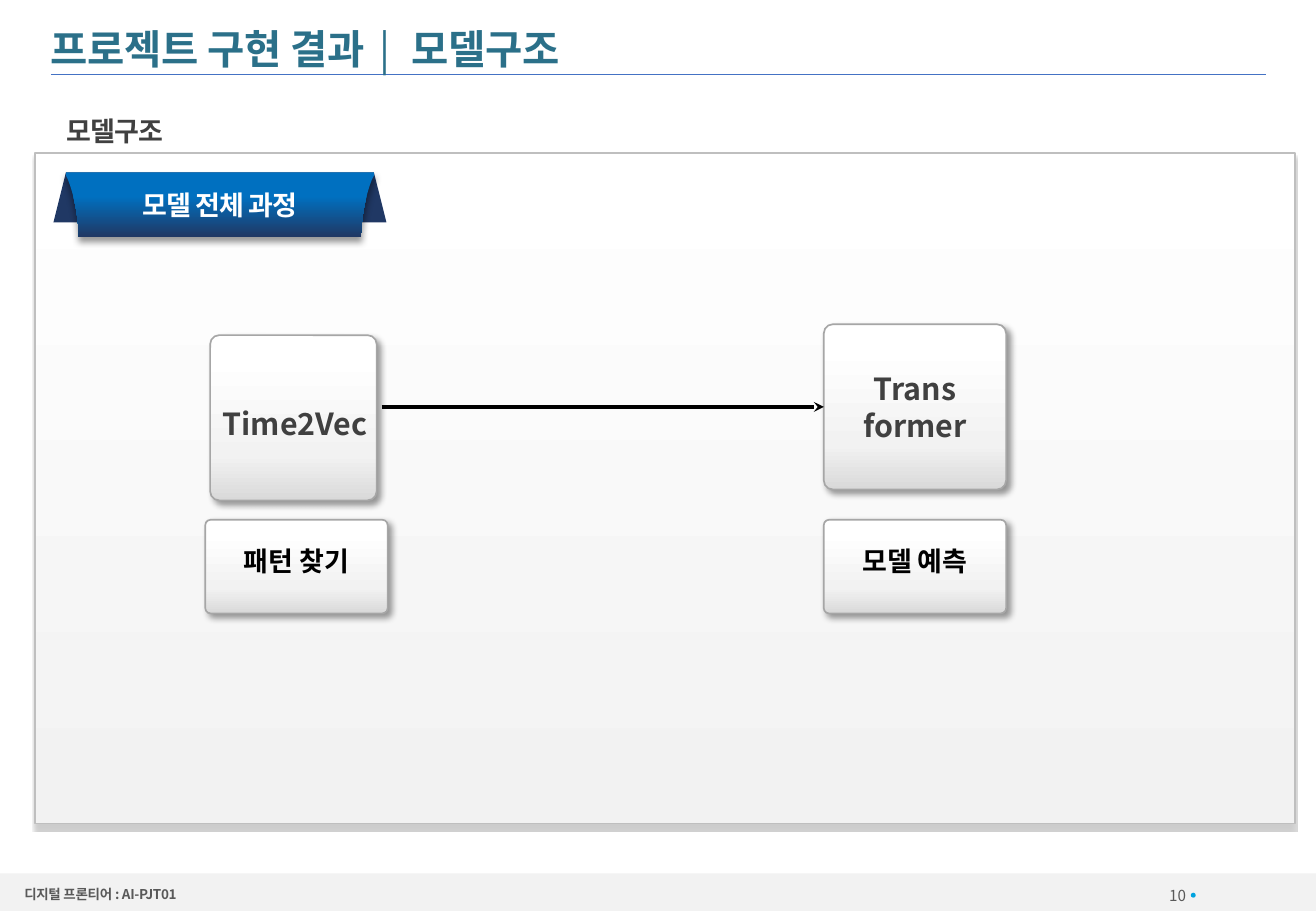
from dataclasses import dataclass

from lxml.etree import SubElement
from pptx import Presentation
from pptx.dml.color import RGBColor
from pptx.enum.shapes import MSO_CONNECTOR, MSO_SHAPE
from pptx.enum.text import MSO_ANCHOR, PP_ALIGN
from pptx.oxml.ns import qn
from pptx.util import Emu, Inches, Pt

CELL = Inches(0.1)  # side of one grid cell
COLUMNS, ROWS = 108.3, 75


@dataclass(frozen=True)
class Theme:
    font: str = "Noto Sans CJK KR"
    title: str = "2B7089"
    heading: str = "404040"
    body: str = "000000"
    light: str = "FFFFFF"
    muted: str = "595959"
    band: str = "F2F2F2"
    dot: str = "00A3DF"
    rule: str = "4472C4"
    panel_line: str = "BFBFBF"
    card_line: str = "A6A6A6"
    ribbon_dark: str = "203864"
    panel_fill: tuple = ((0, "FFFFFF"), (100, "F2F2F2"))
    card_fill: tuple = ((0, "FFFFFF"), (14, "FFFFFF"), (73, "F2F2F2"), (100, "D9D9D9"))
    ribbon_fill: tuple = ((0, "0070C0"), (37, "0070C0"), (100, "203864"))
    title_size: int = 24
    card_size: int = 18
    label_size: int = 16
    page_size: int = 9
    footer_size: int = 8


THEME = Theme()


@dataclass(frozen=True)
class Box:
    """A rectangle in grid columns and rows."""
    left: float
    top: float
    width: float
    height: float

    def inner(self, left, top, width, height):
        return Box(self.left + left, self.top + top, width, height)

    def lengths(self):
        return [Emu(round(n * CELL)) for n in (self.left, self.top, self.width, self.height)]


def rgb(color):
    return RGBColor.from_string(color)


def paint(shape, fill, line=None, shadow=None):
    """Fill is a colour or gradient stops from top to bottom; shadow is
    opacity %, blur pt, distance pt, angle."""
    if isinstance(fill, str):
        shape.fill.solid()
        shape.fill.fore_color.rgb = rgb(fill)
    else:
        shape.fill.gradient()
        gradient = shape._element.spPr.find(qn("a:gradFill"))
        stops = gradient.find(qn("a:gsLst"))
        for stop in list(stops):
            stops.remove(stop)
        for position, color in fill:
            stop = SubElement(stops, qn("a:gs"), pos=str(position * 1000))
            SubElement(stop, qn("a:srgbClr"), val=color)
        gradient.find(qn("a:lin")).set("ang", str(90 * 60000))
    if line:
        shape.line.color.rgb = rgb(line)
        shape.line.width = Pt(1)
    else:
        shape.line.fill.background()
    shape.shadow.inherit = False
    if shadow:
        opacity, blur, distance, angle = shadow
        effects = shape._element.spPr.find(qn("a:effectLst"))
        outer = SubElement(effects, qn("a:outerShdw"), blurRad=str(Pt(blur)),
                           dist=str(Pt(distance)), dir=str(angle * 60000),
                           algn="ctr", rotWithShape="0")
        color = SubElement(outer, qn("a:srgbClr"), val="000000")
        SubElement(color, qn("a:alpha"), val=str(opacity * 1000))


def add_block(slide, kind, box, fill, line=None, shadow=None):
    shape = slide.shapes.add_shape(kind, *box.lengths())
    paint(shape, fill, line, shadow)
    return shape


def write(shape, texts, size, color, bold=True, align=PP_ALIGN.LEFT,
          anchor=MSO_ANCHOR.MIDDLE, insets=(0, 0, 0, 0), spacing=0, wrap=True):
    """Put one paragraph in the shape, with one run for each text."""
    frame = shape.text_frame
    frame.word_wrap = wrap
    frame.vertical_anchor = anchor
    frame.margin_left, frame.margin_top, frame.margin_right, frame.margin_bottom = (
        Emu(round(inset * CELL)) for inset in insets)
    paragraph = frame.paragraphs[0]
    paragraph.alignment = align
    if len(texts) == 1:
        paragraph.text = texts[0]
    else:
        for text in texts:
            paragraph.add_run().text = text
    font = paragraph.font
    font.size, font.bold, font.name = Pt(size), bold, THEME.font
    font.color.rgb = rgb(color)
    SubElement(font._rPr, qn("a:ea"), typeface=THEME.font)
    font._rPr.set("spc", str(round(spacing * 100)))
    return paragraph


def add_text(slide, box, *texts, **style):
    return write(slide.shapes.add_textbox(*box.lengths()), texts, **style)


def add_line(slide, start, end, color, width):
    points = [Emu(round(n * CELL)) for n in (*start, *end)]
    line = slide.shapes.add_connector(MSO_CONNECTOR.STRAIGHT, *points)
    line.line.color.rgb = rgb(color)
    line.line.width = Pt(width)
    SubElement(line._element.spPr, qn("a:effectLst"))
    return line


def add_footer(slide, box):
    add_block(slide, MSO_SHAPE.RECTANGLE, box, THEME.band)
    add_block(slide, MSO_SHAPE.OVAL, box.inner(98, 1.6, 0.4, 0.4), THEME.dot)
    add_text(slide, box.inner(90.6, 0.8, 7, 2), "10", size=THEME.page_size,
             color=THEME.muted, bold=False, align=PP_ALIGN.RIGHT)
    add_text(slide, box.inner(2, 1.1, 42.4, 1.3), "디지털 프론티어 : AI-PJT01",
             size=THEME.footer_size, color=THEME.muted, spacing=-0.2)


def add_title(slide, box):
    add_line(slide, (box.left, box.top + 4.3), (box.left + box.width, box.top + 4.3),
             THEME.rule, 0.5)
    title = add_text(slide, box, "프로젝트 구현 결과", " | ", "모델구조",
                     size=THEME.title_size, color=THEME.title, spacing=-0.2, wrap=False)
    divider = title.runs[1].font
    divider.bold = False
    divider._rPr.set("spc", "360")


def curve(start, first, second, end, steps=8):
    """Points along a cubic curve, without its start."""
    for step in range(1, steps + 1):
        t = step / steps
        weights = ((1 - t) ** 3, 3 * t * (1 - t) ** 2, 3 * t ** 2 * (1 - t), t ** 3)
        yield tuple(sum(w * p[axis] for w, p in zip(weights, (start, first, second, end)))
                    for axis in (0, 1))


def add_ribbon(slide, box, text):
    # Folded ends behind the ribbon
    add_block(slide, MSO_SHAPE.TRAPEZOID, box.inner(0, 0, box.width, 4.1), THEME.ribbon_dark)
    # Front: the right edge, mirrored for the left
    middle = box.width / 2
    right = [(26.4, 0), (26.4, 0.2), (26.2, 0.6)]
    right += curve(right[-1], (25.7, 1.9), (25.4, 3.4), (25.3, 5.1))
    right.append((25.3, box.height))
    outline = right + [(2 * middle - x, y) for x, y in reversed(right)]
    points = [((box.left + x) * CELL, (box.top + y) * CELL) for x, y in outline]
    builder = slide.shapes.build_freeform(*points[0])
    builder.add_line_segments(points[1:], close=True)
    front = builder.convert_to_shape()
    paint(front, THEME.ribbon_fill, shadow=(40, 4, 3, 90))
    write(front, [text], THEME.label_size, THEME.light, align=PP_ALIGN.CENTER, spacing=-0.5)


def add_card(slide, box, text, size, color, insets=(0, 0, 0, 0)):
    card = add_block(slide, MSO_SHAPE.ROUNDED_RECTANGLE, box, THEME.card_fill,
                     THEME.card_line, (40, 4, 3, 45))
    card.adjustments[0] = 0.055
    write(card, [text], size, color, align=PP_ALIGN.CENTER, insets=insets)
    return card


def add_model_panel(slide, box):
    add_block(slide, MSO_SHAPE.RECTANGLE, box, THEME.panel_fill,
              THEME.panel_line, (20, 1, 3, 90))
    add_text(slide, box.inner(1.6, -3.7, 71.7, 3.7), "모델구조", size=THEME.label_size,
             color=THEME.heading, insets=(1, 0.5, 1, 0.5), spacing=-0.5)
    add_ribbon(slide, box.inner(1.5, 1.6, 27.4, 5.3), "모델 전체 과정")
    # Model steps
    add_card(slide, box.inner(14.4, 15, 13.7, 13.6), "Time2Vec",
             THEME.card_size, THEME.heading, (0.3, 1, 0, 0))
    transformer = add_card(slide, box.inner(64.9, 14.1, 15, 13.6), "Trans\vformer",
                           THEME.card_size, THEME.heading)
    # What each step does
    for left, label in ((14, "패턴 찾기"), (64.9, "모델 예측")):
        add_card(slide, box.inner(left, 30.2, 15, 7.7), label,
                 THEME.label_size, THEME.body, (0, 0, 0, 1))
    # Arrow between the steps
    level = box.top + 20.9
    arrow = add_line(slide, (box.left + 28.5, level), (box.left + 64.9, level), THEME.body, 2)
    arrow.end_connect(transformer, 1)
    SubElement(arrow.line._get_or_add_ln(), qn("a:tailEnd"), type="stealth")


def main():
    presentation = Presentation()
    presentation.slide_width = Emu(round(COLUMNS * CELL))
    presentation.slide_height = Emu(ROWS * CELL)
    slide = presentation.slides.add_slide(presentation.slide_layouts[6])
    add_footer(slide, Box(0, 71.9, COLUMNS, 3.1))
    add_title(slide, Box(4.2, 1.8, 100, 4.4))
    add_model_panel(slide, Box(2.9, 12.6, 103.7, 55.2))
    presentation.save("out.pptx")


if __name__ == "__main__":
    main()
